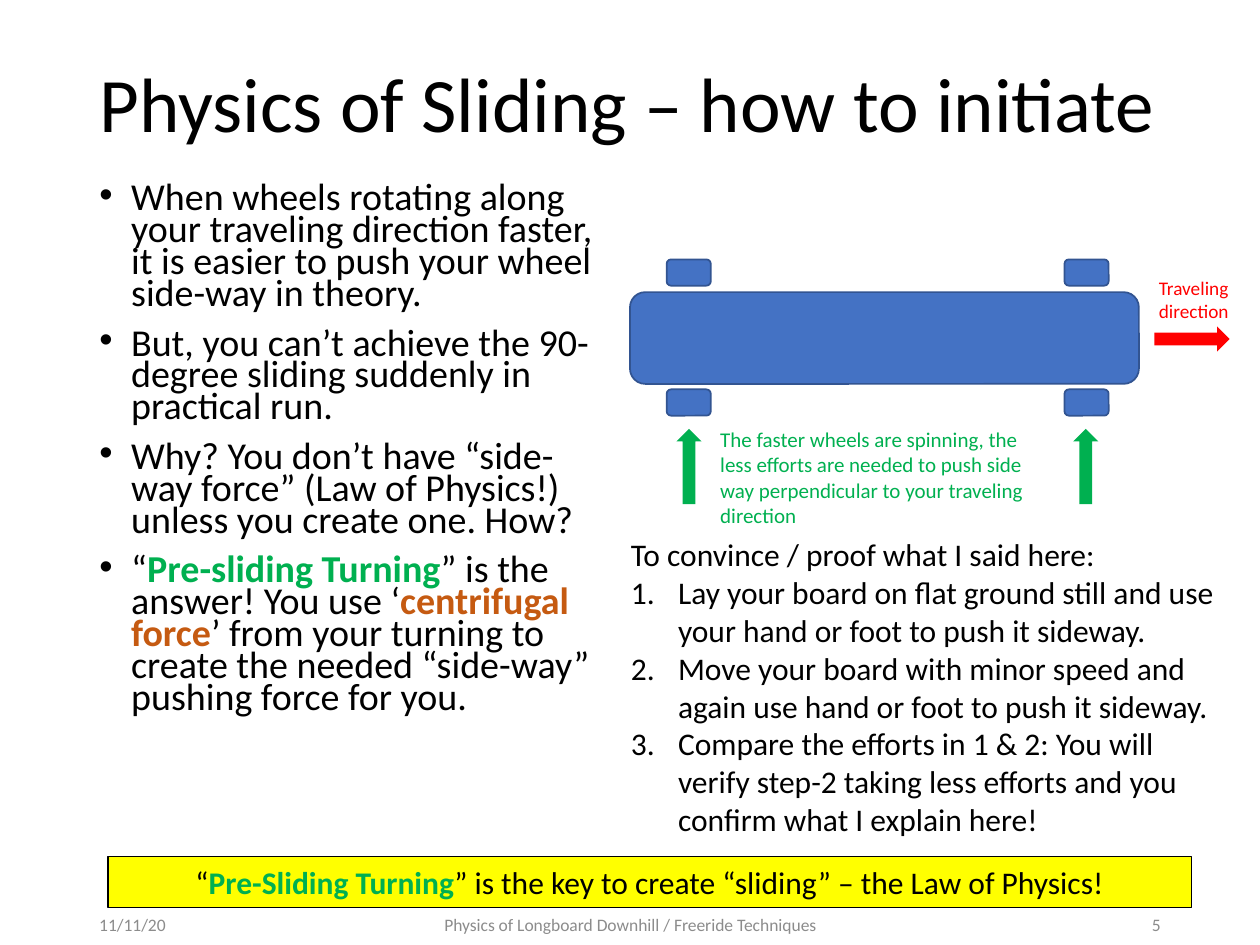
from itertools import product

from lxml import etree
from pptx import Presentation
from pptx import util as u
from pptx.dml.color import RGBColor
from pptx.enum import shapes, text
from pptx.oxml.ns import qn

FONT = "Calibri"
BLACK, GREEN, ORANGE, RED = "000000", "00B050", "C55A11", "FF0000"
BLUE, NAVY, YELLOW, GREY = "4472C4", "325491", "FFFF00", "8C8C8C"
SHAPE = shapes.MSO_SHAPE
ALIGN = text.PP_ALIGN
ANCHOR = text.MSO_ANCHOR

# Each paragraph is a list of runs: (words,) or (words, highlight colour)
REASONS = [
    [("When wheels rotating along your traveling direction faster, "
      "it is easier to push your wheel side-way in theory.",)],
    [("But, you can’t achieve the 90-degree sliding suddenly in practical run.",)],
    [("Why? You don’t have “side-way force” (Law of Physics!) "
      "unless you create one. How?",)],
    [("“",), ("Pre-sliding Turning", GREEN), ("” is the answer! You use ‘",),
     ("centrifugal force", ORANGE),
     ("’ from your turning to create the needed “side-way” pushing force for you.",)],
]
PROOF_STEPS = [
    "Lay your board on flat ground still and use your hand or foot to push it sideway.",
    "Move your board with minor speed and again use hand or foot to push it sideway.",
    "Compare the efforts in 1 & 2: You will verify step-2 taking less efforts "
    "and you confirm what I explain here!",
]
KEY_POINT = [("“",), ("Pre-Sliding Turning", GREEN),
             ("” is the key to create “sliding” – the Law of Physics!",)]


def rgb(value):
    return RGBColor.from_string(value)


def lengths(box):
    return [u.Cm(value) for value in box]


def move(placeholder, box):
    (placeholder.left, placeholder.top,
     placeholder.width, placeholder.height) = lengths(box)


def add_runs(paragraph, runs, size, color=BLACK):
    for words, *highlight in runs:
        run = paragraph.add_run()
        run.text = words
        run.font.name = FONT
        run.font.size = u.Pt(size)
        run.font.bold = bool(highlight)
        run.font.color.rgb = rgb(highlight[0] if highlight else color)


def add_marker(paragraph, indent, tag, **attributes):
    """Give a paragraph a hanging bullet or number."""
    properties = paragraph._p.get_or_add_pPr()
    properties.set("marL", str(u.Cm(indent)))
    properties.set("indent", str(-u.Cm(indent)))
    etree.SubElement(properties, qn("a:buFont"), typeface="Arial")
    etree.SubElement(properties, qn(tag), **attributes)


def next_paragraph(frame, index):
    return frame.add_paragraph() if index else frame.paragraphs[0]


def add_text(slide, box, words, size, color=BLACK, align=ALIGN.LEFT, anchor=ANCHOR.TOP):
    frame = slide.shapes.add_textbox(*lengths(box)).text_frame
    frame.word_wrap = True
    frame.vertical_anchor = anchor
    frame.paragraphs[0].alignment = align
    add_runs(frame.paragraphs[0], [(words,)], size, color)
    return frame


def add_block(slide, preset, box, fill, line=None, width=1, rotation=0):
    block = slide.shapes.add_shape(preset, *lengths(box))
    block.shadow.inherit = False
    block.rotation = rotation
    block.fill.solid()
    block.fill.fore_color.rgb = rgb(fill)
    if line:
        block.line.color.rgb = rgb(line)
        block.line.width = u.Pt(width)
    else:
        block.line.fill.background()
    return block


def fill_title(title):
    move(title, (1.75, 1.02, 21.9, 2.31))
    title.text_frame.vertical_anchor = ANCHOR.MIDDLE
    title.text_frame.auto_size = text.MSO_AUTO_SIZE.NONE
    heading = title.text_frame.paragraphs[0]
    heading.alignment = ALIGN.LEFT
    heading.line_spacing = 0.9
    add_runs(heading, [("Physics of Sliding – how to initiate",)], 44)


def fill_reasons(body):
    move(body, (1.75, 3.61, 10.8, 13.54))
    body.text_frame.auto_size = text.MSO_AUTO_SIZE.NONE
    for index, runs in enumerate(REASONS):
        reason = next_paragraph(body.text_frame, index)
        add_marker(reason, 0.64, "a:buChar", char="•")
        reason.line_spacing = 0.7
        reason.space_before = u.Pt(10 if index else 0)
        add_runs(reason, runs, 21.7)


def draw_board(slide):
    # Deck and four wheels
    add_block(slide, SHAPE.ROUNDED_RECTANGLE, (12.7, 5.89, 10.26, 1.85), BLUE, NAVY)
    for left, top in product((13.44, 21.46), (5.23, 7.85)):
        add_block(slide, SHAPE.ROUNDED_RECTANGLE, (left, top, 0.89, 0.53), BLUE, NAVY)

    # Traveling direction
    add_block(slide, SHAPE.RIGHT_ARROW, (23.27, 6.58, 1.52, 0.51), RED)
    add_text(slide, (23.11, 5.44, 1.96, 1.19), "Traveling direction", 11, RED)

    # Sideways push under each pair of wheels
    for left in (13.13, 21.13):
        add_block(slide, SHAPE.RIGHT_ARROW, (left, 9.15, 1.52, 0.51), GREEN, rotation=270)
    add_text(slide, (14.27, 8.48, 7.11, 2.31),
             "The faster wheels are spinning, the less efforts are needed to push "
             "side way perpendicular to your traveling direction", 12, GREEN)


def add_proof(slide):
    frame = add_text(slide, (12.47, 10.67, 12.32, 6.4),
                     "To convince / proof what I said here:", 18)
    for words in PROOF_STEPS:
        step = frame.add_paragraph()
        add_marker(step, 0.95, "a:buAutoNum", type="arabicPeriod")
        add_runs(step, [(words,)], 18)


def add_key_point(slide):
    banner = add_block(slide, SHAPE.RECTANGLE, (2.18, 17.27, 21.84, 1.02),
                       YELLOW, BLACK, 0.75)
    banner.text_frame.word_wrap = True
    banner.text_frame.paragraphs[0].alignment = ALIGN.CENTER
    add_runs(banner.text_frame.paragraphs[0], KEY_POINT, 18)


def add_footer(slide):
    for left, width, words, align in (
        (1.75, 5.72, "11/11/20", ALIGN.LEFT),
        (8.41, 8.59, "Physics of Longboard Downhill / Freeride Techniques", ALIGN.CENTER),
        (17.93, 5.72, "5", ALIGN.RIGHT),
    ):
        add_text(slide, (left, 18.44, width, 0.41), words, 10, GREY, align, ANCHOR.MIDDLE)


def main():
    deck = Presentation()
    deck.slide_width, deck.slide_height = lengths((25.4, 19.05))
    slide = deck.slides.add_slide(deck.slide_layouts[1])
    fill_title(slide.shapes.title)
    fill_reasons(slide.placeholders[1])
    draw_board(slide)
    add_key_point(slide)
    add_proof(slide)
    add_footer(slide)
    deck.save("out.pptx")


if __name__ == "__main__":
    main()
